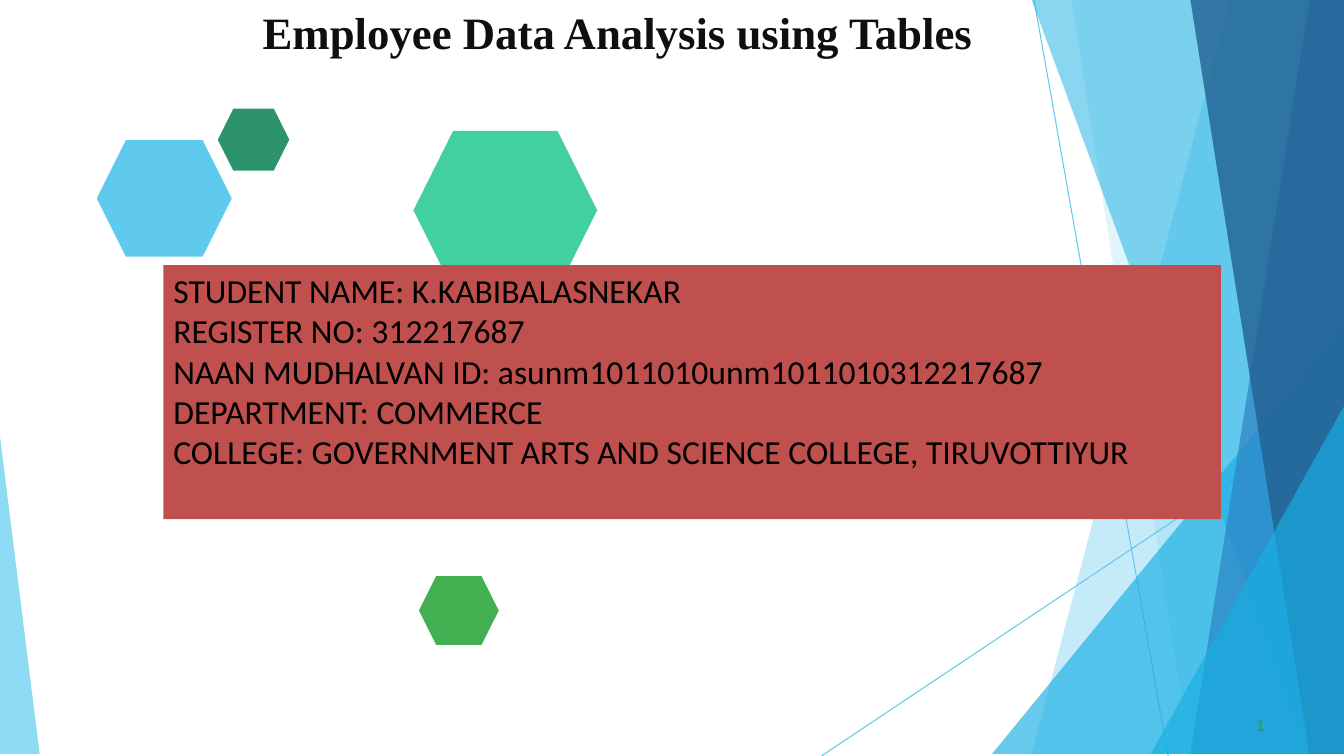
"""Build the cover slide of an employee data analysis deck."""
import dataclasses

import lxml.etree
import pptx
import pptx.dml.color
import pptx.enum.shapes
import pptx.enum.text
import pptx.oxml.ns
import pptx.util

Cm = pptx.util.Cm
Pt = pptx.util.Pt
WIDTH, HEIGHT = 33.87, 19.05


@dataclasses.dataclass(frozen=True)
class Theme:
    """Colours, fonts and type sizes of the slide."""
    sky: str = "5FCAEE"
    cyan: str = "17AFE3"
    blue: str = "2D83C3"
    navy: str = "226192"
    pine: str = "2D936B"
    mint: str = "42D0A1"
    leaf: str = "42AF51"
    brick: str = "C0504D"
    ink: str = "0F0F0F"
    black: str = "000000"
    title_font: str = "Times New Roman"
    body_font: str = "Calibri"
    number_font: str = "Lato"
    title_size: int = 32
    body_size: int = 24
    number_size: int = 11
    hairline: float = 0.75


class SlideBuilder:
    """Draws styled elements on one slide."""

    def __init__(self, page, theme):
        """Keep the slide and its style."""
        self.page = page
        self.theme = theme

    def paint(self, shape, colour, opacity=100):
        """Give a shape a flat fill without outline or shadow."""
        shape.shadow.inherit = False
        shape.line.fill.background()
        shape.fill.solid()
        shape.fill.fore_color.rgb = pptx.dml.color.RGBColor.from_string(colour)
        if opacity < 100:
            tint = shape._element.spPr.find(".//" + pptx.oxml.ns.qn("a:srgbClr"))
            alpha = lxml.etree.SubElement(tint, pptx.oxml.ns.qn("a:alpha"))
            alpha.set("val", str(opacity * 1000))

    def shard(self, points, colour, opacity):
        """Draw a translucent polygon through points in centimetres."""
        outline = self.page.shapes.build_freeform(*points[0], scale=float(Cm(1)))
        outline.add_line_segments(points[1:], close=True)
        self.paint(outline.convert_to_shape(), colour, opacity)

    def ray(self, x1, y1, x2, y2):
        """Draw a thin straight line."""
        line = self.page.shapes.add_connector(
            pptx.enum.shapes.MSO_CONNECTOR.STRAIGHT, Cm(x1), Cm(y1), Cm(x2), Cm(y2))
        line.line.color.rgb = pptx.dml.color.RGBColor.from_string(self.theme.sky)
        line.line.width = Pt(self.theme.hairline)
        lxml.etree.SubElement(line._element.spPr, pptx.oxml.ns.qn("a:effectLst"))

    def block(self, kind, left, top, width, height, colour):
        """Draw a filled preset shape."""
        shape = self.page.shapes.add_shape(
            kind, Cm(left), Cm(top), Cm(width), Cm(height))
        self.paint(shape, colour)
        return shape

    def add_lines(self, box, lines, font, size, colour, bold=False):
        """Fill a box with left-aligned lines, one paragraph each."""
        frame = box.text_frame
        frame.word_wrap = True
        frame.vertical_anchor = pptx.enum.text.MSO_ANCHOR.TOP
        for index, line in enumerate(lines):
            para = frame.add_paragraph() if index else frame.paragraphs[0]
            para.alignment = pptx.enum.text.PP_ALIGN.LEFT
            span = para.add_run()
            span.text = line
            span.font.name = font
            span.font.size = Pt(size)
            span.font.bold = bold
            span.font.color.rgb = pptx.dml.color.RGBColor.from_string(colour)

    def label(self, left, top, width, height, text, *style):
        """Add a one-line text box without side margins."""
        box = self.page.shapes.add_textbox(Cm(left), Cm(top), Cm(width), Cm(height))
        frame = box.text_frame
        frame.margin_left = frame.margin_right = 0
        frame.margin_top = frame.margin_bottom = Cm(0.04)
        self.add_lines(box, [text], *style)


def band(top_x, bottom_x):
    """Return a full-height band reaching the right edge."""
    return [(WIDTH, 0), (top_x, 0), (bottom_x, HEIGHT), (WIDTH, HEIGHT)]


def corner(edge_x, top, inner_x):
    """Return a triangle standing in a bottom corner."""
    return [(edge_x, top), (inner_x, HEIGHT), (edge_x, HEIGHT)]


def main():
    """Build and save the deck."""
    deck = pptx.Presentation()
    deck.slide_width, deck.slide_height = Cm(WIDTH), Cm(HEIGHT)
    theme = Theme()
    cover = SlideBuilder(deck.slides.add_slide(deck.slide_layouts[6]), theme)

    cover.ray(26.06, 0, 29.44, HEIGHT)
    cover.ray(WIDTH, 10.26, 20.7, HEIGHT)
    for points, colour, opacity in (
            (band(31.19, 25.5), theme.sky, 36),
            (band(26.67, 30.02), theme.sky, 20),
            (corner(WIDTH, 8.46, 24.82), theme.cyan, 66),
            (band(25.93, 32.79), theme.cyan, 50),
            (band(33.1, 30.28), theme.blue, 70),
            (band(30.38, 33.48), theme.navy, 80),
            (corner(WIDTH, 9.98, 28.8), theme.cyan, 66),
            (corner(0, 11.15, 1.24), theme.sky, 70)):
        cover.shard(points, colour, opacity)

    shapes = pptx.enum.shapes.MSO_SHAPE
    for *place, colour in (
            (2.44, 3.53, 3.4, 2.94, theme.sky),
            (5.49, 2.74, 1.8, 1.56, theme.pine),
            (10.42, 3.3, 4.63, 4, theme.mint),
            (10.56, 14.52, 2.01, 1.73, theme.leaf)):
        cover.block(shapes.HEXAGON, *place, colour)

    cover.label(6.62, 0.08, 18.8, 1.5, "Employee Data Analysis using Tables",
                theme.title_font, theme.title_size, theme.ink, True)
    cover.label(31.65, 18, 0.5, 0.53, "1",
                theme.number_font, theme.number_size, theme.pine)
    details = cover.block(shapes.RECTANGLE, 4.12, 6.68, 26.65, 6.4, theme.brick)
    cover.add_lines(details, (
        "STUDENT NAME: K.KABIBALASNEKAR",
        "REGISTER NO: 312217687",
        "NAAN MUDHALVAN ID: asunm1011010unm1011010312217687",
        "DEPARTMENT: COMMERCE",
        "COLLEGE: GOVERNMENT ARTS AND SCIENCE COLLEGE, TIRUVOTTIYUR",
    ), theme.body_font, theme.body_size, theme.black)

    deck.save("out.pptx")


if __name__ == "__main__":
    main()
